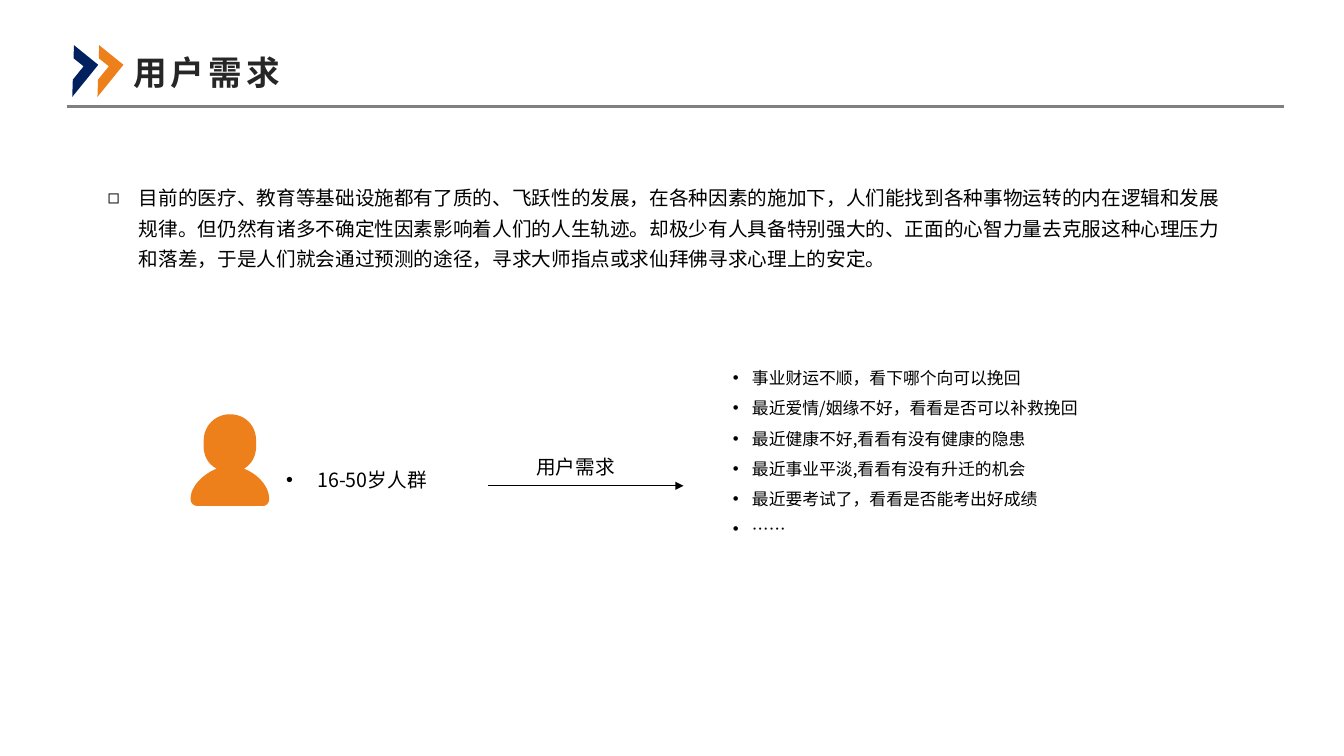
from lxml import etree
from pptx import Presentation
from pptx.dml.color import RGBColor
from pptx.enum.shapes import MSO_CONNECTOR, MSO_SHAPE
from pptx.enum.text import MSO_ANCHOR, MSO_AUTO_SIZE, PP_ALIGN
from pptx.oxml.ns import qn
from pptx.util import Inches, Pt

STRAIGHT = MSO_CONNECTOR.STRAIGHT
HALF_FRAME = MSO_SHAPE.HALF_FRAME
MIDDLE = MSO_ANCHOR.MIDDLE
LEFT = PP_ALIGN.LEFT
FIXED = MSO_AUTO_SIZE.NONE
GROW = MSO_AUTO_SIZE.SHAPE_TO_FIT_TEXT

BODY_FONT = "Noto Sans CJK SC"
TITLE_FONT = "Arial"
BLACK, DARK, GRAY = "000000", "262626", "808080"
NAVY, ORANGE = "002060", "EE801C"

OVERVIEW = (
    "目前的医疗、教育等基础设施都有了质的、飞跃性的发展，"
    "在各种因素的施加下，人们能找到各种事物运转的内在逻辑和发展规律。"
    "但仍然有诸多不确定性因素影响着人们的人生轨迹。"
    "却极少有人具备特别强大的、正面的心智力量去克服这种心理压力和落差，"
    "于是人们就会通过预测的途径，寻求大师指点或求仙拜佛寻求心理上的安定。"
)
NEEDS = [
    "事业财运不顺，看下哪个向可以挽回",
    "最近爱情/姻缘不好，看看是否可以补救挽回",
    "最近健康不好,看看有没有健康的隐患",
    "最近事业平淡,看看有没有升迁的机会",
    "最近要考试了，看看是否能考出好成绩",
    "……",
]
PERSON_START = (2.67, 4.95)
PERSON_CURVES = [
    [(2.67, 4.99), (2.64, 5.02), (2.61, 5.02)],
    [(1.96, 5.02)],
    [(1.92, 5.02), (1.89, 4.99), (1.89, 4.95)],
    [(1.89, 4.82), (2.02, 4.7), (2.15, 4.65)],
    [(2.07, 4.61), (2.02, 4.53), (2.02, 4.43)],
    [(2.02, 4.37)],
    [(2.02, 4.22), (2.14, 4.11), (2.28, 4.11)],
    [(2.43, 4.11), (2.54, 4.22), (2.54, 4.37)],
    [(2.54, 4.43)],
    [(2.54, 4.53), (2.49, 4.61), (2.42, 4.65)],
    [(2.55, 4.7), (2.67, 4.82), (2.67, 4.95)],
]


def color(hex_value):
    """Turn a hex string into a colour."""
    return RGBColor.from_string(hex_value)


def style_font(font, name, size, hex_value):
    """Set the typeface, the size and the colour of a font."""
    font.name, font.size = name, Pt(size)
    font.color.rgb = color(hex_value)


def add_bullet(paragraph, mark, indent):
    """Give a paragraph a hanging bullet."""
    properties = paragraph._p.get_or_add_pPr()
    properties.set("marL", str(Inches(indent)))
    properties.set("indent", str(-Inches(indent)))
    etree.SubElement(properties, qn("a:buFont")).set("typeface", "Arial")
    etree.SubElement(properties, qn("a:buChar")).set("char", mark)


def add_text(slide, box, lines, size, spacing=1.5, bullet=None, indent=0, top_inset=0.05, fit=FIXED):
    """Add a text box of equally formatted paragraphs."""
    frame = slide.shapes.add_textbox(*map(Inches, box)).text_frame
    frame.word_wrap = True
    frame.auto_size = fit
    frame.margin_top = Inches(top_inset)
    frame.text = "\n".join(lines)
    for paragraph in frame.paragraphs:
        if bullet:
            add_bullet(paragraph, bullet, indent)
        paragraph.line_spacing = spacing
        style_font(paragraph.font, BODY_FONT, size, BLACK)
        east_asian = etree.SubElement(paragraph.font._element, qn("a:ea"))
        east_asian.set("typeface", BODY_FONT)


def add_title(slide, text):
    """Place and format the slide title."""
    title = slide.shapes.title
    title.left, title.top, title.width, title.height = map(Inches, (1.22, 0.33, 2.23, 0.77))
    frame = title.text_frame
    frame.text = text
    frame.auto_size, frame.vertical_anchor = FIXED, MIDDLE
    paragraph = frame.paragraphs[0]
    paragraph.alignment = LEFT
    paragraph.line_spacing = 1.0
    style_font(paragraph.font, TITLE_FONT, 24, DARK)
    paragraph.font.bold = True
    paragraph.font._element.set("spc", "300")


def add_line(slide, left, right, y, width, hex_value, arrow=False):
    """Add a horizontal line, with an arrowhead on the right if asked."""
    ends = map(Inches, (left, y, right, y))
    line = slide.shapes.add_connector(STRAIGHT, *ends)
    line.line.width = Pt(width)
    line.line.color.rgb = color(hex_value)
    if arrow:
        etree.SubElement(line.line._get_or_add_ln(), qn("a:tailEnd")).set("type", "triangle")
    etree.SubElement(line._element.spPr, qn("a:effectLst"))


def paint(shape, hex_value):
    """Fill a shape plainly, without outline or shadow."""
    shape.shadow.inherit = False
    shape.fill.solid()
    shape.fill.fore_color.rgb = color(hex_value)
    shape.line.fill.background()


def add_chevrons(slide):
    """Add the pair of chevrons before the title."""
    group = slide.shapes.add_group_shape()
    for index, hex_value in enumerate((NAVY, ORANGE)):
        box = map(Inches, (0.52 + 0.25 * index, 0.55, 0.41, 0.31))
        chevron = group.shapes.add_shape(HALF_FRAME, *box)
        chevron.rotation = 129
        paint(chevron, hex_value)


def curve_points(start, controls, steps=12):
    """Return points along a cubic curve, or the end of a straight side."""
    if len(controls) == 1:
        return controls
    points = []
    for step in range(1, steps + 1):
        t = step / steps
        weights = ((1 - t) ** 3, 3 * t * (1 - t) ** 2, 3 * t * t * (1 - t), t ** 3)
        points.append(tuple(
            sum(weight * value for weight, value in zip(weights, axis))
            for axis in zip(start, *controls)
        ))
    return points


def add_person(slide):
    """Draw the user icon as one outline."""
    outline = [PERSON_START]
    for controls in PERSON_CURVES:
        outline += curve_points(outline[-1], controls)
    corners = [(Inches(x), Inches(y)) for x, y in outline]
    builder = slide.shapes.build_freeform(*corners[0])
    builder.add_line_segments(corners[1:], close=True)
    paint(builder.convert_to_shape(), ORANGE)


def main():
    """Build the slide and save it."""
    deck = Presentation()
    deck.slide_width, deck.slide_height = Inches(13.33), Inches(7.5)
    slide = deck.slides.add_slide(deck.slide_layouts[5])

    add_text(slide, (7.17, 3.55, 4.77, 1.9), NEEDS, 12, bullet="•", indent=0.19, top_inset=0)
    add_person(slide)
    add_text(slide, (2.74, 4.48, 2.6, 0.41), ["16-50岁人群"], 14, bullet="•", indent=0.31, fit=GROW)
    add_line(slide, 4.84, 6.78, 4.82, 0.5, BLACK, arrow=True)
    add_text(slide, (5.22, 4.35, 1.19, 0.41), ["用户需求"], 14, fit=GROW)
    add_text(slide, (0.97, 1.77, 11.42, 1.65), [OVERVIEW], 14, Pt(22), "◻", 0.31, top_inset=0)
    add_line(slide, 0.66, 12.73, 1.06, 2.25, GRAY)
    add_title(slide, "用户需求")
    add_chevrons(slide)

    deck.save("out.pptx")


if __name__ == "__main__":
    main()
